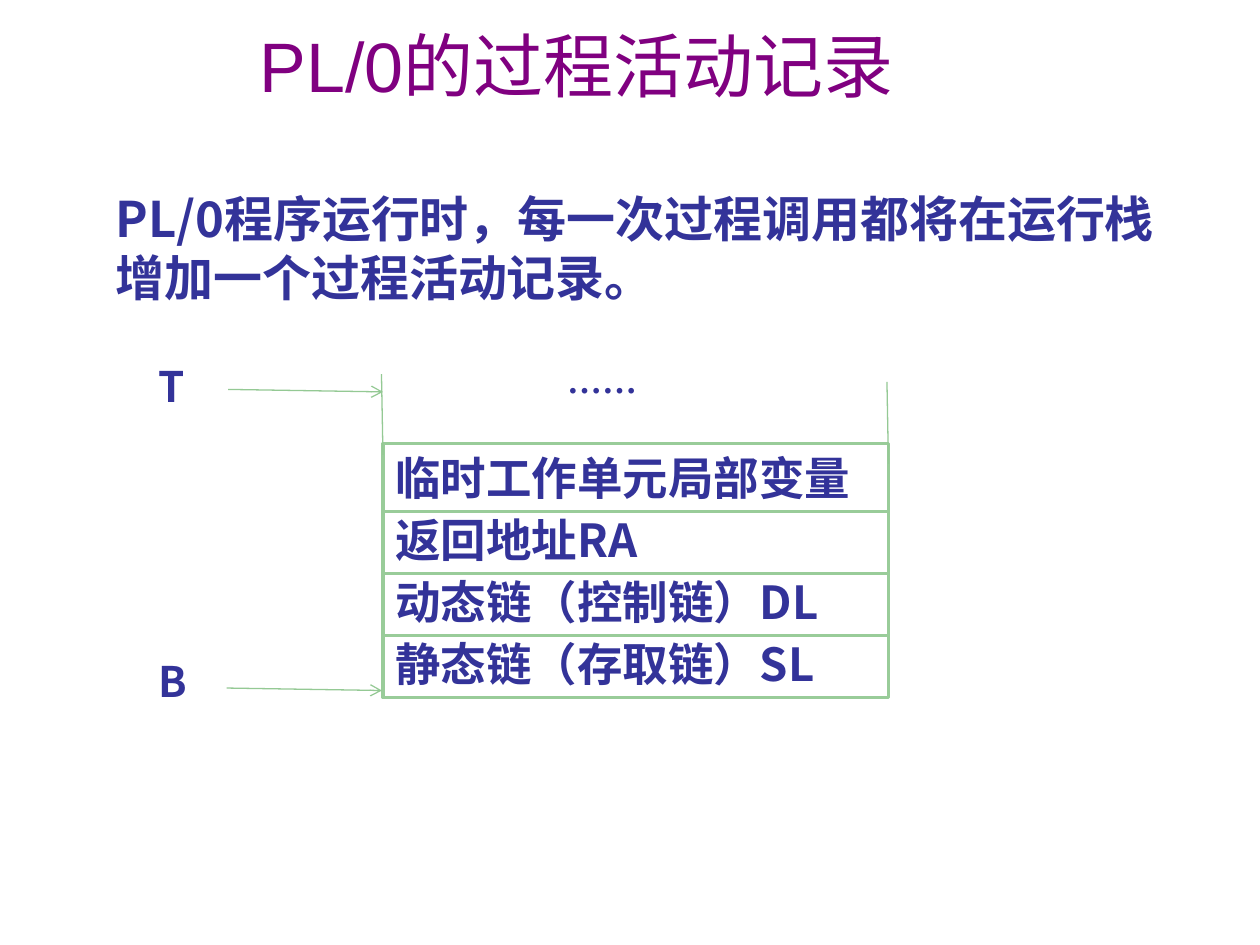
from dataclasses import dataclass

import pptx
import pptx.dml.color
import pptx.enum.shapes
import pptx.enum.text
import pptx.oxml.ns
import pptx.oxml.xmlchemy
import pptx.util
from lxml import etree
from pptx.util import Cm, Pt

COLORS = {
    "title": "800080",
    "text": "333399",
    "paper": "FFFFFF",
    "frame": "99CC99",
    "line": "94C994",
}
BODY_FONT = "Noto Sans CJK SC"
TITLE_FONT = "Arial"

RECORD_LEFT, RECORD_TOP, RECORD_WIDTH = 7.72, 8.94, 10.19
FIELD_HEIGHT, FIELD_PITCH = 1.37, 1.25
FIELDS = ["临时工作单元局部变量", "返回地址RA", "动态链（控制链）DL", "静态链（存取链）SL"]


@dataclass(frozen=True)
class Label:
    text: str
    left: float
    top: float
    width: float
    height: float
    size: int
    color: str = "text"
    font: str = BODY_FONT
    bold: bool = True
    centered: bool = False
    spacing: float | None = None


@dataclass(frozen=True)
class Line:
    start: tuple[float, float]
    end: tuple[float, float]
    arrow: bool = False


LABELS = [
    Label("PL/0的过程活动记录", 4.19, 0.53, 14.86, 1.8, 40, "title", TITLE_FONT, False, True, 0.9),
    Label("PL/0程序运行时，每一次过程调用都将在运行栈增加一个过程活动记录。",
          2.08, 3.68, 22.05, 2.64, 28),
    Label("……", 11.2, 7.32, 4.32, 1.12, 20),
    Label("T", 2.95, 7.14, 2.03, 1.27, 24),
    Label("B", 2.95, 13.08, 2.03, 1.27, 24),
]
LINES = [
    Line((7.72, 9.17), (7.69, 7.54)),
    Line((17.91, 9.35), (17.88, 7.7)),
    Line((4.6, 7.85), (7.72, 7.9), arrow=True),
    Line((4.57, 13.87), (7.7, 13.92), arrow=True),
]


def rgb(name: str) -> pptx.dml.color.RGBColor:
    return pptx.dml.color.RGBColor.from_string(COLORS[name])


def write(shape, label: Label) -> None:
    frame = shape.text_frame
    frame.word_wrap = True
    paragraph = frame.paragraphs[0]
    paragraph.text = label.text
    alignment = pptx.enum.text.PP_ALIGN
    paragraph.alignment = alignment.CENTER if label.centered else alignment.LEFT
    if label.spacing:
        paragraph.line_spacing = label.spacing
    font = paragraph.font
    font.size, font.bold, font.name = Pt(label.size), label.bold, label.font
    font.color.rgb = rgb(label.color)
    # Chinese characters take their typeface from a:ea
    properties = paragraph._p.pPr.find(pptx.oxml.ns.qn("a:defRPr"))
    etree.SubElement(properties, pptx.oxml.ns.qn("a:ea"), typeface=BODY_FONT)


def box(label: Label) -> tuple:
    return Cm(label.left), Cm(label.top), Cm(label.width), Cm(label.height)


def add_label(slide, label: Label) -> None:
    write(slide.shapes.add_textbox(*box(label)), label)


def add_field(slide, label: Label) -> None:
    field = slide.shapes.add_shape(pptx.enum.shapes.MSO_SHAPE.RECTANGLE, *box(label))
    field.shadow.inherit = False
    field.fill.solid()
    field.fill.fore_color.rgb = rgb("paper")
    field.line.color.rgb = rgb("frame")
    field.line.width = Pt(2)
    field.text_frame.vertical_anchor = pptx.enum.text.MSO_ANCHOR.MIDDLE
    write(field, label)


def add_line(slide, line: Line) -> None:
    connector = slide.shapes.add_connector(
        pptx.enum.shapes.MSO_CONNECTOR.STRAIGHT,
        *(Cm(value) for value in line.start + line.end))
    connector.line.color.rgb = rgb("line")
    connector.line.width = Pt(0.75)
    if line.arrow:
        etree.SubElement(connector.line._get_or_add_ln(),
                         pptx.oxml.ns.qn("a:tailEnd"), type="arrow")
    etree.SubElement(connector._element.spPr, pptx.oxml.ns.qn("a:effectLst"))


def main() -> None:
    presentation = pptx.Presentation()
    presentation.slide_width, presentation.slide_height = Cm(25.4), Cm(19.05)
    slide = presentation.slides.add_slide(presentation.slide_layouts[6])

    # Bottom field first, so each upper field overlaps the one below it
    for row, text in reversed(list(enumerate(FIELDS))):
        add_field(slide, Label(text, RECORD_LEFT, RECORD_TOP + row * FIELD_PITCH,
                               RECORD_WIDTH, FIELD_HEIGHT, 26))
    for line in LINES:
        add_line(slide, line)
    for label in LABELS:
        add_label(slide, label)
    presentation.save("out.pptx")


if __name__ == "__main__":
    main()
